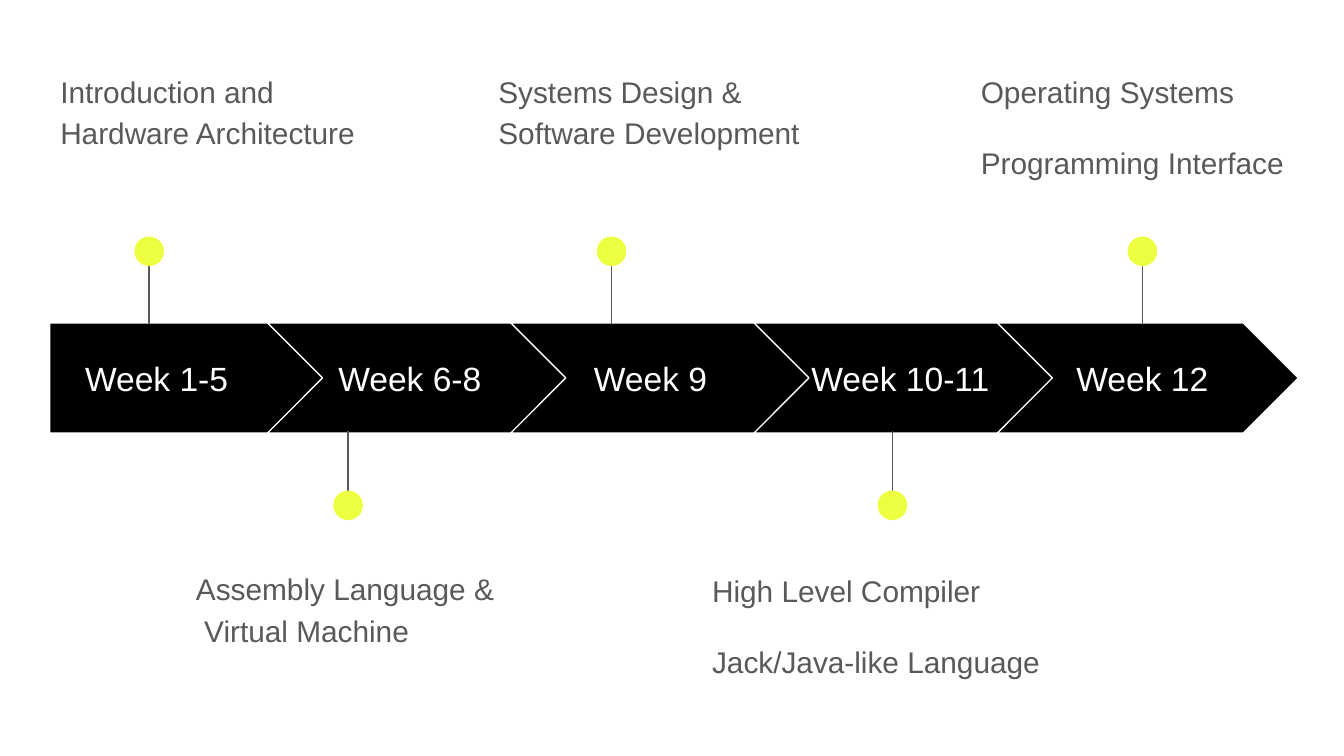
"""Build a course timeline slide with five week arrows and their topics."""
from pptx import Presentation
from pptx.dml.color import RGBColor
from pptx.enum.shapes import MSO_CONNECTOR, MSO_SHAPE
from pptx.enum.text import MSO_ANCHOR, PP_ALIGN
from pptx.oxml.ns import qn
from pptx.util import Inches, Pt
from lxml import etree

STRAIGHT = MSO_CONNECTOR.STRAIGHT
PENTAGON, CHEVRON, OVAL = MSO_SHAPE.PENTAGON, MSO_SHAPE.CHEVRON, MSO_SHAPE.OVAL
TOP, MIDDLE = MSO_ANCHOR.TOP, MSO_ANCHOR.MIDDLE
LEFT, CENTER = PP_ALIGN.LEFT, PP_ALIGN.CENTER

COLORS = {"arrow": "000000", "edge": "FFFFFF", "week": "FFFFFF",
          "topic": "595959", "stem": "595959", "dot": "EEFF41"}

SLIDE_WIDTH = 10
SLIDE_HEIGHT = SLIDE_WIDTH * 9 / 16
COLUMN_LEFT, COLUMN_STEP = 0.18, 1.81
ARROW_HEIGHT, CHEVRON_WIDTH = 0.82, 2.24
ARROW_MIDDLE = SLIDE_HEIGHT / 2
ARROW_TOP = ARROW_MIDDLE - ARROW_HEIGHT / 2
WEEK_HEIGHT, TOPIC_HEIGHT = 0.51, 0.99
DOT_SIZE, STEM_LENGTH = 0.22, 0.61

# week, week left, week width, stem x, topic left, topic top, topic width, topic lines
STAGES = [
    ("Week 1-5", 0.37, 1.59, 1.11, 0.35, 0.41, 2.45,
     ["Introduction and Hardware Architecture"]),
    ("Week 6-8", 2.33, 1.44, 2.59, 1.36, 4.11, 2.45,
     ["Assembly Language &\v Virtual Machine"]),
    ("Week 9", 4.12, 1.44, 4.55, 3.61, 0.41, 2.45,
     ["Systems Design & Software Development"]),
    ("Week 10-11", 5.92, 1.56, 6.64, 5.2, 4.12, 2.89,
     ["High Level Compiler", "Jack/Java-like Language"]),
    ("Week 12", 7.78, 1.44, 8.5, 7.2, 0.41, 2.56,
     ["Operating Systems", "Programming Interface"]),
]

presentation = Presentation()
presentation.slide_width = Inches(SLIDE_WIDTH)
presentation.slide_height = Inches(SLIDE_HEIGHT)
slide = presentation.slides.add_slide(presentation.slide_layouts[6])


def add_filled_shape(kind, left, top, width, height, color):
    shape = slide.shapes.add_shape(
        kind, Inches(left), Inches(top), Inches(width), Inches(height))
    shape.shadow.inherit = False
    shape.fill.solid()
    shape.fill.fore_color.rgb = RGBColor.from_string(COLORS[color])
    return shape


def add_text(left, top, width, height, lines, size, color, alignment, anchor):
    box = slide.shapes.add_textbox(
        Inches(left), Inches(top), Inches(width), Inches(height))
    frame = box.text_frame
    frame.word_wrap = True
    frame.vertical_anchor = anchor
    frame.margin_left = frame.margin_right = Inches(0.1)
    frame.margin_top = frame.margin_bottom = Inches(0.1)
    frame.text = "\n".join(lines)
    for paragraph in frame.paragraphs:
        paragraph.alignment = alignment
        paragraph.font.name = "Arial"
        paragraph.font.size = Pt(size)
        paragraph.font.color.rgb = RGBColor.from_string(COLORS[color])
    return frame


for index, (week, week_left, week_width, stem_x,
            topic_left, topic_top, topic_width, topic) in enumerate(STAGES):
    if index == 0:
        kind, arrow_left, arrow_width = PENTAGON, 0.37, 2.05
    else:
        kind, arrow_width = CHEVRON, CHEVRON_WIDTH
        arrow_left = COLUMN_LEFT + index * COLUMN_STEP
    arrow = add_filled_shape(
        kind, arrow_left, ARROW_TOP, arrow_width, ARROW_HEIGHT, "arrow")
    arrow.adjustments[0] = 0.5
    arrow.line.color.rgb = RGBColor.from_string(COLORS["edge"])
    arrow.line.width = Pt(0.75)
    add_text(week_left, ARROW_MIDDLE - WEEK_HEIGHT / 2, week_width, WEEK_HEIGHT,
             [week], 18, "week", CENTER, MIDDLE)

    above = index % 2 == 0
    stem_start = 1.8 if above else 3.82
    stem_end = stem_start + (STEM_LENGTH if above else -STEM_LENGTH)
    stem = slide.shapes.add_connector(
        STRAIGHT, Inches(stem_x), Inches(stem_start), Inches(stem_x), Inches(stem_end))
    stem.line.color.rgb = RGBColor.from_string(COLORS["stem"])
    stem.line.width = Pt(0.75)
    etree.SubElement(stem.element.spPr, qn("a:effectLst"))

    dot = add_filled_shape(OVAL, stem_x - DOT_SIZE / 2, 1.76 if above else 3.65,
                           DOT_SIZE, DOT_SIZE, "dot")
    dot.line.fill.background()

    frame = add_text(topic_left, topic_top, topic_width, TOPIC_HEIGHT,
                     topic, 16, "topic", LEFT, TOP)
    for paragraph in frame.paragraphs:
        paragraph.line_spacing = 1.15
        paragraph.space_after = Pt(16)

presentation.save("out.pptx")
